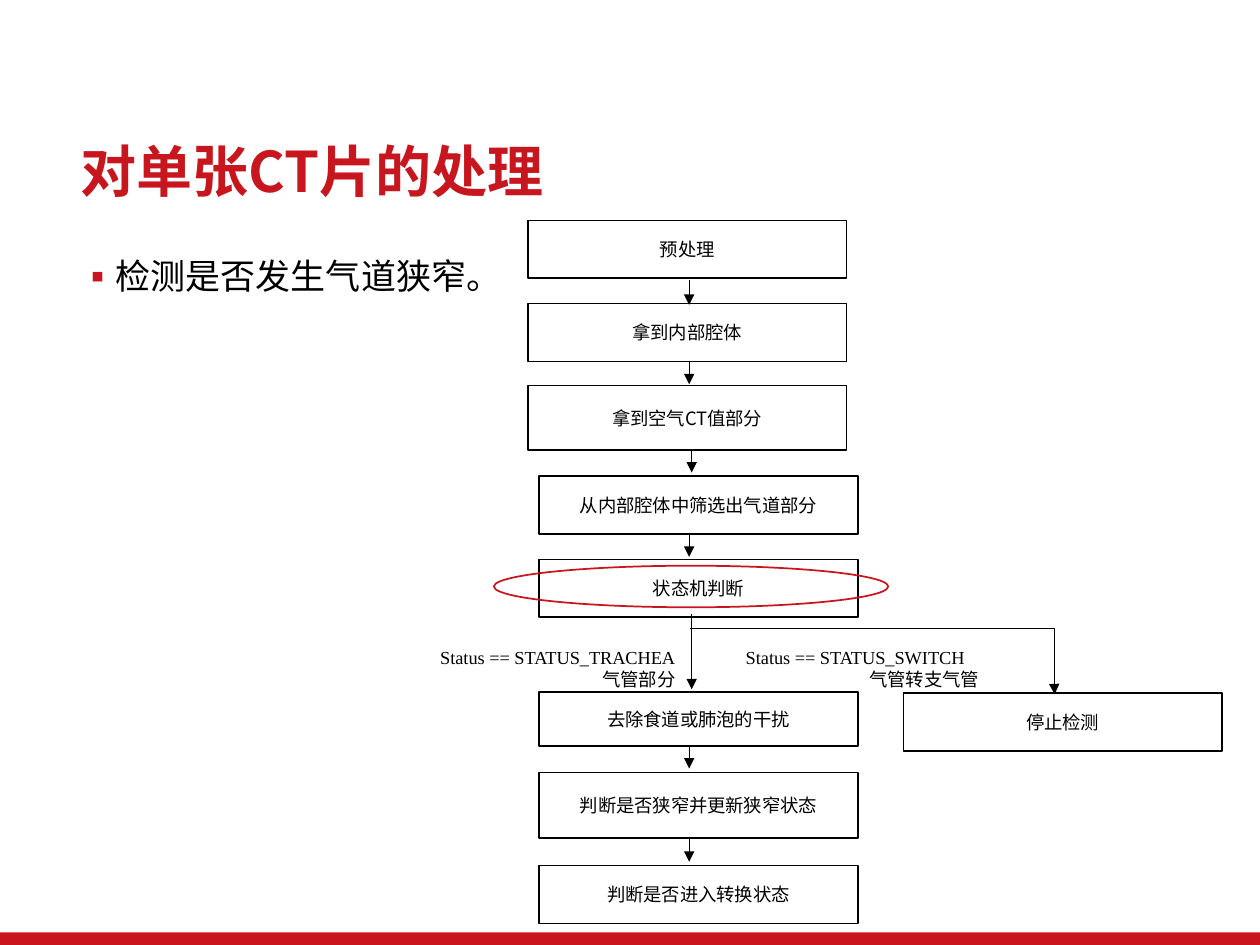
from lxml.etree import SubElement
from pptx import Presentation
from pptx.dml.color import RGBColor
from pptx.enum.shapes import MSO_CONNECTOR, MSO_SHAPE
from pptx.enum.text import MSO_ANCHOR, PP_ALIGN
from pptx.oxml.ns import qn
from pptx.util import Inches, Pt

RED, BLACK, WHITE = "C8161E", "000000", "FFFFFF"
SANS, SERIF = "Noto Sans CJK SC", "Times New Roman"


def color(hex_code):
    return RGBColor.from_string(hex_code)


def write(frame, text, size=10.5, font=SANS, ink=BLACK, bold=False,
          align=PP_ALIGN.LEFT, spacing=1.0, anchor=MSO_ANCHOR.TOP):
    """Fill the first paragraph of the frame, or add one after it."""
    frame.word_wrap = True
    frame.vertical_anchor = anchor
    paragraph = frame.paragraphs[0] if not frame.text else frame.add_paragraph()
    paragraph.alignment = align
    paragraph.line_spacing = spacing
    paragraph.space_before = Pt(0)
    run = paragraph.add_run()
    run.text = text
    run.font.size = Pt(size)
    run.font.bold = bold
    run.font.color.rgb = color(ink)
    run.font.name = font
    SubElement(run.font._element, qn("a:ea"), typeface=SANS)
    return paragraph


deck = Presentation()
deck.slide_width, deck.slide_height = Inches(10), Inches(7.5)
slide = deck.slides.add_slide(deck.slide_layouts[1])
shapes = slide.shapes

# Footer band
band = shapes.add_shape(MSO_SHAPE.RECTANGLE, 0, Inches(7.4), Inches(10), Inches(0.1))
band.shadow.inherit = False
band.fill.solid()
band.fill.fore_color.rgb = color("C9151E")
band.line.fill.background()

# Title and bullet
title, body = shapes.title, slide.placeholders[1]
title.left, title.top, title.width, title.height = map(Inches, (0.54, 1.07, 9.16, 0.63))
body.left, body.top, body.width, body.height = map(Inches, (0.54, 1.9, 9.16, 5.28))
write(title.text_frame, "对单张CT片的处理", size=32, ink=RED, bold=True,
      spacing=0.9, anchor=MSO_ANCHOR.MIDDLE)
bullet = write(body.text_frame, "检测是否发生气道狭窄。", size=20, spacing=1.2)
bullet_format = bullet._p.get_or_add_pPr()
bullet_format.set("marL", str(Inches(0.25)))
bullet_format.set("indent", str(Inches(-0.25)))
bullet_color = SubElement(bullet_format, qn("a:buClr"))
SubElement(bullet_color, qn("a:srgbClr"), val=RED)
SubElement(bullet_format, qn("a:buFont"), typeface=SANS)
SubElement(bullet_format, qn("a:buChar"), char="▪")

# Flowchart steps: text, left, top, height
steps = [
    ("预处理", 4.19, 1.75, 0.46),
    ("拿到内部腔体", 4.19, 2.41, 0.46),
    ("拿到空气CT值部分", 4.19, 3.06, 0.51),
    ("从内部腔体中筛选出气道部分", 4.28, 3.78, 0.46),
    ("状态机判断", 4.28, 4.44, 0.46),
    ("去除食道或肺泡的干扰", 4.28, 5.49, 0.43),
    ("停止检测", 7.17, 5.5, 0.46),
    ("判断是否狭窄并更新狭窄状态", 4.28, 6.13, 0.52),
    ("判断是否进入转换状态", 4.28, 6.87, 0.46),
]
for text, left, top, height in steps:
    step = shapes.add_shape(MSO_SHAPE.RECTANGLE, Inches(left), Inches(top),
                            Inches(2.53), Inches(height))
    step.shadow.inherit = False
    step.fill.solid()
    step.fill.fore_color.rgb = color(WHITE)
    step.line.color.rgb = color(BLACK)
    step.line.width = Pt(1)
    write(step.text_frame, text, align=PP_ALIGN.CENTER, anchor=MSO_ANCHOR.MIDDLE)

# Arrows between steps; the elbow branches off to the stop step
arrows = [
    (5.47, 2.22, 5.47, 2.42),
    (5.47, 2.87, 5.47, 3.05),
    (5.49, 3.57, 5.49, 3.75),
    (5.47, 4.24, 5.47, 4.42),
    (5.49, 4.87, 5.49, 5.47),
    (5.48, 4.99, 8.37, 5.51),
    (5.47, 5.92, 5.47, 6.1),
    (5.47, 6.66, 5.47, 6.84),
]
for x1, y1, x2, y2 in arrows:
    route = MSO_CONNECTOR.STRAIGHT if x1 == x2 else MSO_CONNECTOR.ELBOW
    arrow = shapes.add_connector(route, Inches(x1), Inches(y1), Inches(x2), Inches(y2))
    arrow.line.color.rgb = color(BLACK)
    arrow.line.width = Pt(0.5)
    SubElement(arrow.line._get_or_add_ln(), qn("a:tailEnd"), type="triangle")
    SubElement(arrow._element.spPr, qn("a:effectLst"))
    if route == MSO_CONNECTOR.ELBOW:
        bend = arrow._element.spPr.find(qn("a:prstGeom")).find(qn("a:avLst"))
        SubElement(bend, qn("a:gd"), name="adj1", fmla="val 99900")

# Branch conditions
trachea = shapes.add_textbox(Inches(2.32), Inches(5.08), Inches(3.14), Inches(0.4)).text_frame
for text in ("Status == STATUS_TRACHEA", "气管部分"):
    write(trachea, text, font=SERIF, align=PP_ALIGN.RIGHT)

switch = shapes.add_textbox(Inches(5.82), Inches(5.08), Inches(2.72), Inches(0.42)).text_frame
write(switch, "Status == STATUS_SWITCH", font=SERIF)
switch_note = write(switch, "气管转支气管", font=SERIF, align=PP_ALIGN.CENTER)
switch_note._p.get_or_add_pPr().set("marL", str(Inches(0.31)))

# Highlight around the state machine step
highlight = shapes.add_shape(MSO_SHAPE.OVAL, Inches(3.92), Inches(4.49),
                             Inches(3.13), Inches(0.33))
highlight.shadow.inherit = False
highlight.fill.background()
highlight.line.color.rgb = color(RED)
highlight.line.width = Pt(1)

deck.save("out.pptx")
